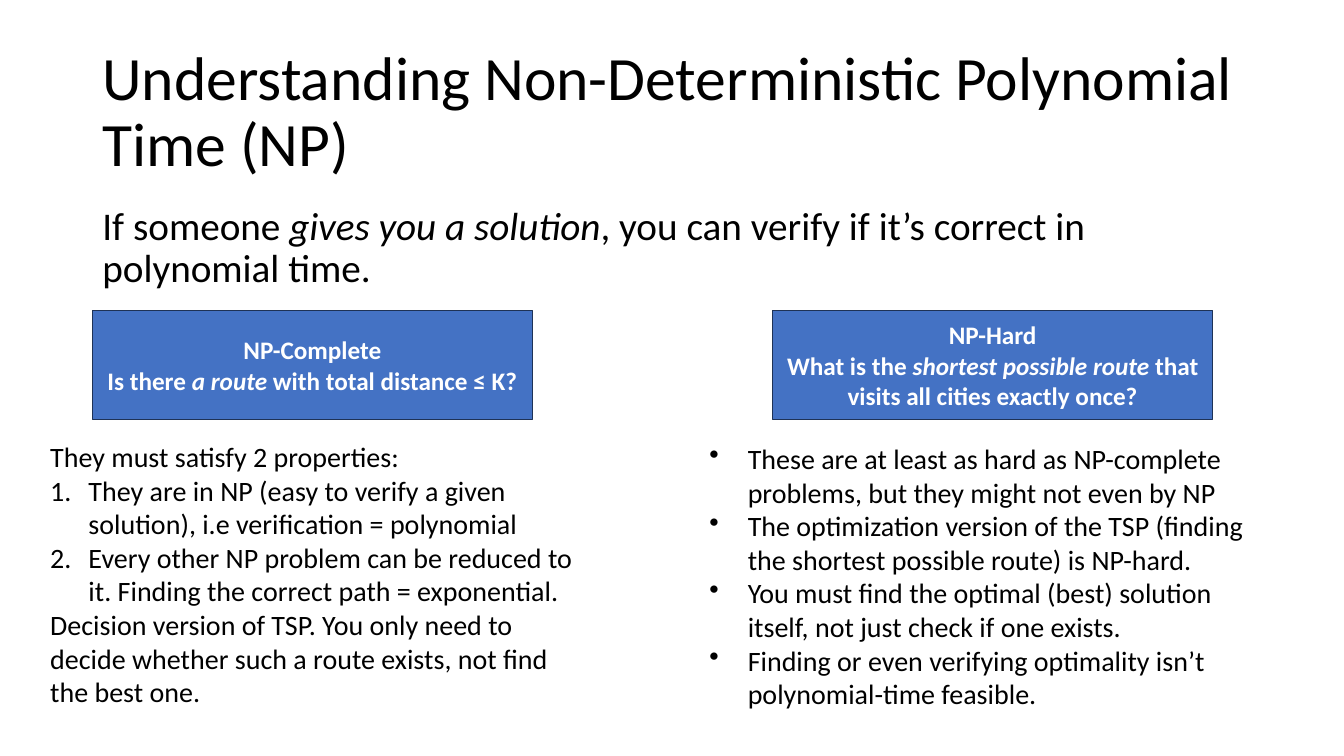
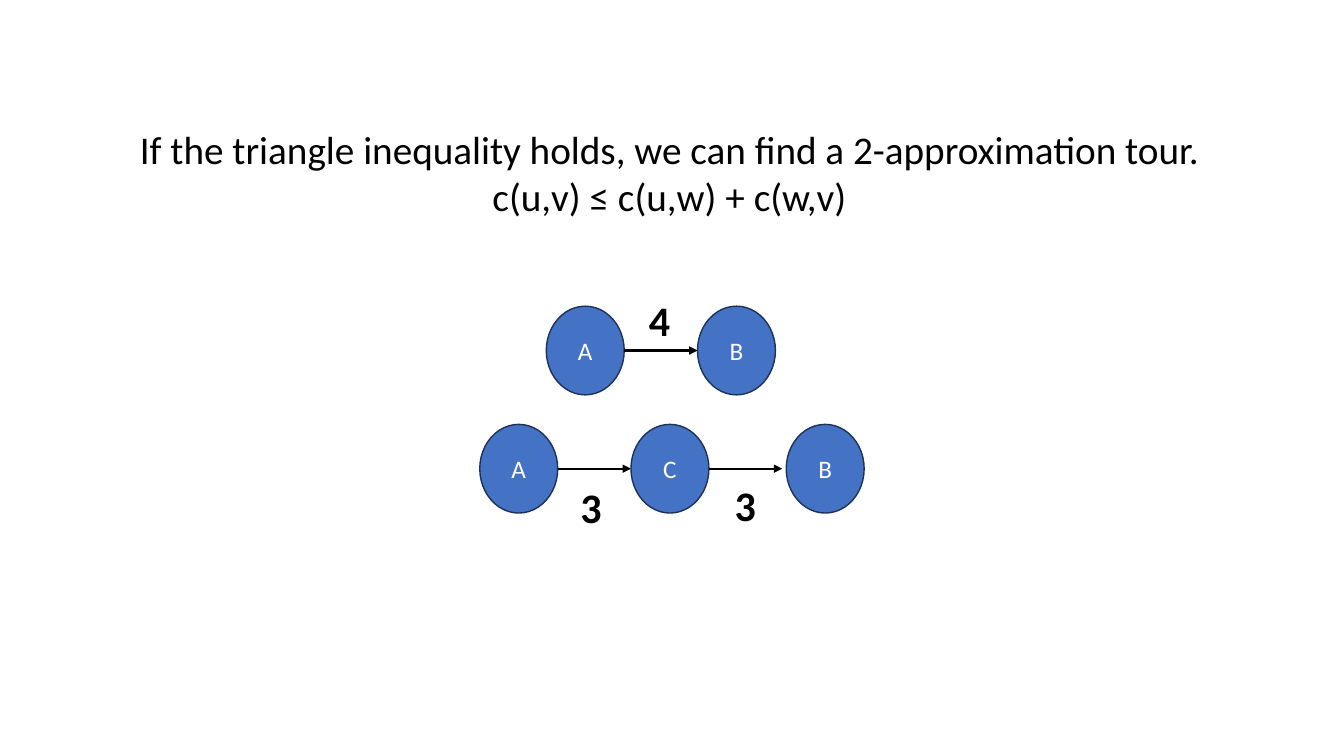
from lxml import etree
from pptx import Presentation
from pptx.dml.color import RGBColor
from pptx.enum.shapes import MSO_CONNECTOR, MSO_SHAPE
from pptx.enum.text import MSO_ANCHOR, MSO_AUTO_SIZE, PP_ALIGN
from pptx.oxml.ns import qn
from pptx.util import Inches, Pt

STRAIGHT = MSO_CONNECTOR.STRAIGHT
RECTANGLE, ELLIPSE = MSO_SHAPE.RECTANGLE, MSO_SHAPE.OVAL
TOP, MIDDLE = MSO_ANCHOR.TOP, MSO_ANCHOR.MIDDLE
LEFT, CENTER = PP_ALIGN.LEFT, PP_ALIGN.CENTER
GROW, FIXED = MSO_AUTO_SIZE.SHAPE_TO_FIT_TEXT, MSO_AUTO_SIZE.NONE

COLORS = {"text": "000000", "fill": "4472C4", "outline": "1E3256", "on_fill": "FFFFFF"}
FONT = "Calibri"
LIST_INDENT = Inches(0.38)
LIST_MARKS = {
    "1.": ("a:buAutoNum", {"type": "arabicPeriod"}),
    "•": ("a:buChar", {"char": "•"}),
}

STYLES = {
    "title": {"size": 44, "color": "text", "anchor": MIDDLE, "spacing": 0.9},
    "lead": {"size": 28, "color": "text", "spacing": 0.9},
    "statement": {"size": 28, "color": "text", "align": CENTER, "fit": GROW},
    "details": {"size": 20, "color": "text", "fit": GROW},
    "cost": {"size": 30, "color": "text", "bold": True, "fit": GROW},
    "heading": {"size": 18, "color": "on_fill", "bold": True, "align": CENTER,
                "anchor": MIDDLE, "shape": RECTANGLE},
    "node": {"size": 18, "color": "on_fill", "align": CENTER,
             "anchor": MIDDLE, "shape": ELLIPSE},
}

presentation = Presentation()
presentation.slide_width = Inches(13.333)
presentation.slide_height = Inches(7.5)
blank_layout = presentation.slide_layouts[6]

# The slide is a grid of 100 columns and 100 rows.
COLUMN = presentation.slide_width / 100
ROW = presentation.slide_height / 100


def to_lengths(*cells):
    """Turn alternating column and row counts into slide lengths."""
    return [round(cell * (ROW if index % 2 else COLUMN)) for index, cell in enumerate(cells)]


def add_text(slide, style_name, area, paragraphs):
    """Add a styled box; a paragraph is (list mark, text), with *italic* parts."""
    style = STYLES[style_name]
    if "shape" in style:
        shape = slide.shapes.add_shape(style["shape"], *to_lengths(*area))
        shape.shadow.inherit = False
        shape.fill.solid()
        shape.fill.fore_color.rgb = RGBColor.from_string(COLORS["fill"])
        shape.line.color.rgb = RGBColor.from_string(COLORS["outline"])
        shape.line.width = Pt(1)
    else:
        shape = slide.shapes.add_textbox(*to_lengths(*area))

    frame = shape.text_frame
    frame_format = {"word_wrap": True, "auto_size": style.get("fit", FIXED),
                    "vertical_anchor": style.get("anchor", TOP)}
    for name, value in frame_format.items():
        setattr(frame, name, value)

    for index, (mark, text) in enumerate(paragraphs):
        paragraph = frame.add_paragraph() if index else frame.paragraphs[0]
        if mark:
            properties = paragraph._p.get_or_add_pPr()
            properties.set("marL", str(LIST_INDENT))
            properties.set("indent", str(-LIST_INDENT))
            tag, attributes = LIST_MARKS[mark]
            etree.SubElement(properties, qn(tag), attributes)
        paragraph.alignment = style.get("align", LEFT)
        paragraph.line_spacing = style.get("spacing", 1.0)
        for part_index, part in enumerate(text.split("*")):
            run = paragraph.add_run()
            run.text = part
            run_format = {"name": FONT, "size": Pt(style["size"]),
                          "bold": style.get("bold", False), "italic": part_index % 2 == 1}
            for name, value in run_format.items():
                setattr(run.font, name, value)
            run.font.color.rgb = RGBColor.from_string(COLORS[style["color"]])


# Slide 1: NP-complete beside NP-hard
slide = presentation.slides.add_slide(blank_layout)
MARGIN, CONTENT_WIDTH = 6.88, 86.25
add_text(slide, "title", (MARGIN, 5.33, CONTENT_WIDTH, 19.33),
         [("", "Understanding Non-Deterministic Polynomial Time (NP)")])
add_text(slide, "lead", (MARGIN, 26.67, CONTENT_WIDTH, 63.47),
         [("", "If someone *gives you a solution*, you can verify if it’s correct in polynomial time.")])

problem_classes = [
    (MARGIN, ["NP-Complete", "Is there *a route* with total distance ≤ K?"],
     (3, 57.47, 40.5, 37.2), [
         ("", "They must satisfy 2 properties:"),
         ("1.", "They are in NP (easy to verify a given solution), i.e verification = polynomial"),
         ("1.", "Every other NP problem can be reduced to it. Finding the correct path = exponential."),
         ("", "Decision version of TSP. You only need to decide whether such a route exists, "
              "not find the best one."),
     ]),
    (57.5, ["NP-Hard", "What is the *shortest possible route* that visits all cities exactly once?"],
     (52.05, 57.73, 43.57, 37.2), [
         ("•", "These are at least as hard as NP-complete problems, but they might not even by NP"),
         ("•", "The optimization version of the TSP (finding the shortest possible route) is NP-hard."),
         ("•", "You must find the optimal (best) solution itself, not just check if one exists."),
         ("•", "Finding or even verifying optimality isn’t polynomial-time feasible."),
     ]),
]
for heading_left, heading, details_area, details in problem_classes:
    add_text(slide, "heading", (heading_left, 41.07, 32.73, 14.4), [("", line) for line in heading])
    add_text(slide, "details", details_area, details)

# Slide 2: triangle inequality
slide = presentation.slides.add_slide(blank_layout)
add_text(slide, "statement", (8.7, 15.87, 82.2, 13.87), [
    ("", "If the triangle inequality holds, we can find a 2-approximation tour."),
    ("", "c(u,v) ≤ c(u,w) + c(w,v)"),
])

NODE_WIDTH, NODE_HEIGHT, ARROW_LENGTH = 5.8, 11.73, 5.45
routes = [
    (40.5, [("A", 40.65), ("B", 51.9)]),
    (56.13, [("A", 35.7), ("C", 46.95), ("B", 58.5)]),
]
for top, nodes in routes:
    for name, left in nodes:
        add_text(slide, "node", (left, top, NODE_WIDTH, NODE_HEIGHT), [("", name)])
    for name, left in nodes[:-1]:
        start, middle = left + NODE_WIDTH, top + NODE_HEIGHT / 2
        arrow = slide.shapes.add_connector(
            STRAIGHT, *to_lengths(start, middle, start + ARROW_LENGTH, middle))
        arrow.line.color.rgb = RGBColor.from_string(COLORS["text"])
        arrow.line.width = Pt(1.5)
        etree.SubElement(arrow.line._get_or_add_ln(), qn("a:tailEnd"), {"type": "triangle"})
        etree.SubElement(arrow._element.spPr, qn("a:effectLst"))

for cost, left, top in [("4", 47.55, 38.27), ("3", 53.93, 62.8), ("3", 42.45, 63.07)]:
    add_text(slide, "cost", (left, top, 4.35, 8.13), [("", cost)])

presentation.save("out.pptx")
